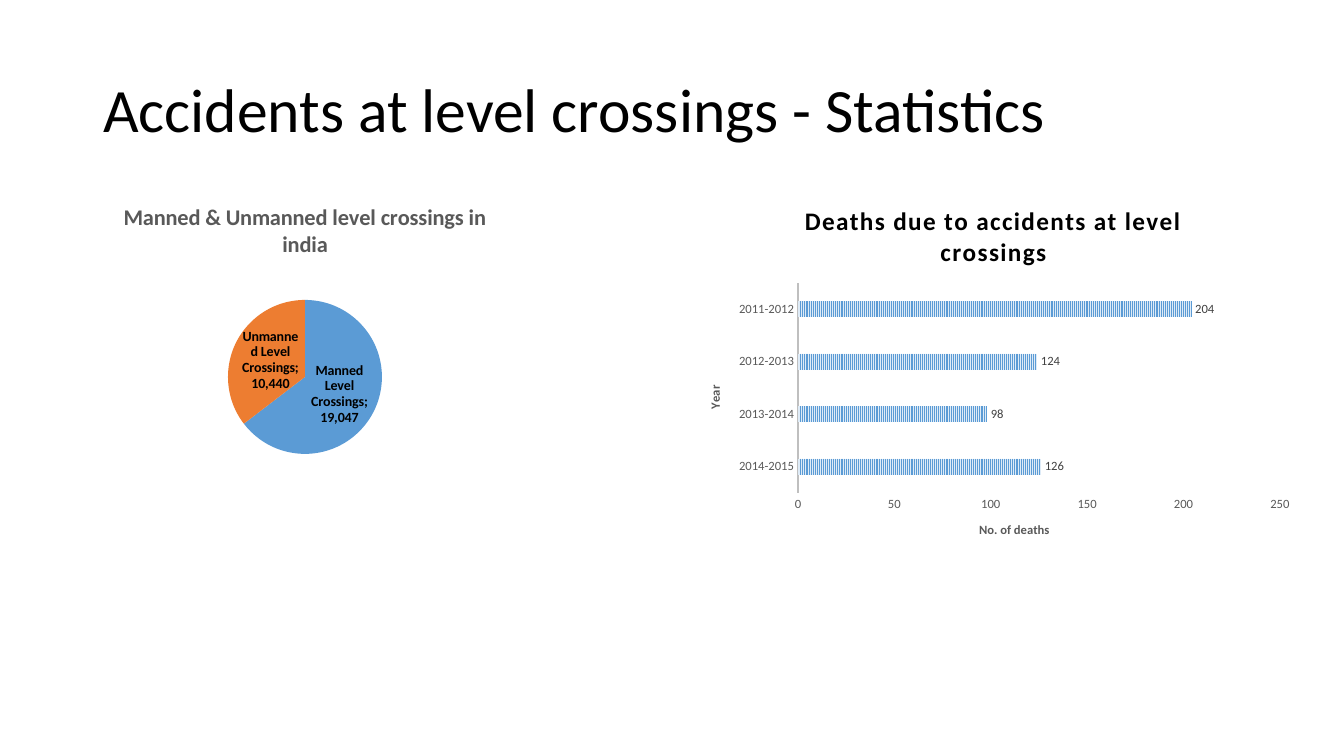
from lxml import etree
from pptx import Presentation
from pptx.chart.data import CategoryChartData
from pptx.dml.color import RGBColor
from pptx.enum.chart import XL_CHART_TYPE as ChartType
from pptx.enum.chart import XL_LABEL_POSITION as LabelPosition
from pptx.enum.chart import XL_TICK_MARK as TickMark
from pptx.enum.dml import MSO_PATTERN as Pattern
from pptx.enum.text import MSO_ANCHOR as Anchor
from pptx.oxml.ns import qn
from pptx.util import Emu, Pt

PIXEL = 914400 / 100.8
FONT = "Calibri"
BLACK = RGBColor(0x00, 0x00, 0x00)
GREY = RGBColor(0x59, 0x59, 0x59)
LABEL_GREY = RGBColor(0x40, 0x40, 0x40)
AXIS_GREY = RGBColor(0xBF, 0xBF, 0xBF)
BLUE = RGBColor(0x5B, 0x9B, 0xD5)
PALE_BLUE = RGBColor(0xDE, 0xEB, 0xF7)
ORANGE = RGBColor(0xED, 0x7D, 0x31)


def emu(pixels):
    return Emu(round(pixels * PIXEL))


def style_font(font, size, color, bold=False):
    font.name = FONT
    font.size = Pt(size)
    font.bold = bold
    font.color.rgb = color


def add_span(para, text, size, color, bold=False):
    span = para.add_run()
    span.text = text
    style_font(span.font, size, color, bold)
    return span


def place_plot(chart, box, plot):
    """Fix the inner plot area; plot is relative to the chart's box."""
    area = chart.element.find(".//" + qn("c:plotArea"))
    for old in area.findall(qn("c:layout")):
        area.remove(old)
    layout = etree.Element(qn("c:layout"))
    area.insert(0, layout)
    manual = etree.SubElement(layout, qn("c:manualLayout"))
    left, top, width, height = plot
    settings = [("layoutTarget", "inner"), ("xMode", "edge"), ("yMode", "edge"),
                ("x", left / box[2]), ("y", top / box[3]),
                ("w", width / box[2]), ("h", height / box[3])]
    for name, value in settings:
        etree.SubElement(manual, qn("c:" + name)).set("val", str(value))


def add_chart(page, box, kind, categories, values, title, plot):
    """Add a one-series chart and return it with the span of its title."""
    data = CategoryChartData()
    data.categories = categories
    data.add_series("Series 1", values)
    chart = page.shapes.add_chart(kind, *map(emu, box), data).chart
    style_font(chart.font, 10, BLACK)
    chart.has_legend = False
    chart.has_title = True
    para = chart.chart_title.text_frame.paragraphs[0]
    span = add_span(para, title, 16, GREY, True)
    place_plot(chart, box, plot)
    return chart, span


def add_labels(plot, size, color, bold, number_format):
    plot.has_data_labels = True
    labels = plot.data_labels
    style_font(labels.font, size, color, bold)
    labels.show_value = True
    labels.number_format = number_format
    labels.number_format_is_linked = False
    return labels


def style_axis(axis, title):
    axis.has_major_gridlines = False
    axis.major_tick_mark = axis.minor_tick_mark = TickMark.NONE
    style_font(axis.tick_labels.font, 9, GREY)
    axis.has_title = True
    add_span(axis.axis_title.text_frame.paragraphs[0], title, 9, GREY, True)


def add_title(page, box):
    title = page.shapes.title
    title.left, title.top, title.width, title.height = map(emu, box)
    frame = title.text_frame
    frame.word_wrap = True
    frame.vertical_anchor = Anchor.MIDDLE
    para = frame.paragraphs[0]
    para.alignment = 1
    para.line_spacing = 0.9
    add_span(para, "Accidents at level crossings - Statistics", 44, BLACK)


def add_crossings_pie(page, box):
    chart, _ = add_chart(
        page, box, ChartType.PIE,
        ["Manned Level Crossings", "Unmanned Level Crossings"], [19047, 10440],
        "Manned & Unmanned level crossings in india", (175, 114, 154, 154))
    pie = chart.plots[0]
    for index, color in enumerate([BLUE, ORANGE]):
        fill = pie.series[0].points[index].format.fill
        fill.solid()
        fill.fore_color.rgb = color
    labels = add_labels(pie, 10, BLACK, True, "#,##0")
    labels.show_category_name = True
    labels.show_percentage = False
    labels.position = LabelPosition.CENTER


def add_deaths_bars(page, box):
    chart, title = add_chart(
        page, box, ChartType.BAR_CLUSTERED,
        ["2014-2015", "2013-2014", "2012-2013", "2011-2012"], [126, 98, 124, 204],
        "Deaths due to accidents at level crossings", (112, 97, 482, 210))
    style_font(title.font, 18, BLACK, True)
    title.font._element.set("spc", "100")

    # Striped bars
    bars = chart.plots[0]
    bars.gap_width = 227
    bars.overlap = -48
    bars.vary_by_categories = False
    fill = bars.series[0].format.fill
    fill.patterned()
    fill.pattern = Pattern.NARROW_VERTICAL
    fill.fore_color.rgb = BLUE
    fill.back_color.rgb = PALE_BLUE
    labels = add_labels(bars, 9, LABEL_GREY, False, "General")
    labels.position = LabelPosition.OUTSIDE_END

    # Axes
    years, deaths = chart.category_axis, chart.value_axis
    style_axis(years, "Year")
    years.format.line.color.rgb = AXIS_GREY
    years.format.line.width = Pt(1.5)
    style_axis(deaths, "No. of deaths")
    deaths.format.line.fill.background()
    deaths.minimum_scale, deaths.maximum_scale, deaths.major_unit = 0, 250, 50


def build_statistics_page(deck):
    page = deck.slides.add_slide(deck.slide_layouts[5])
    add_title(page, (93, 40, 1159, 146))
    add_deaths_bars(page, (686, 186, 615, 372))
    add_crossings_pie(page, (53, 186, 504, 302))


deck = Presentation()
deck.slide_width, deck.slide_height = emu(1344), emu(756)
build_statistics_page(deck)
deck.save("out.pptx")
